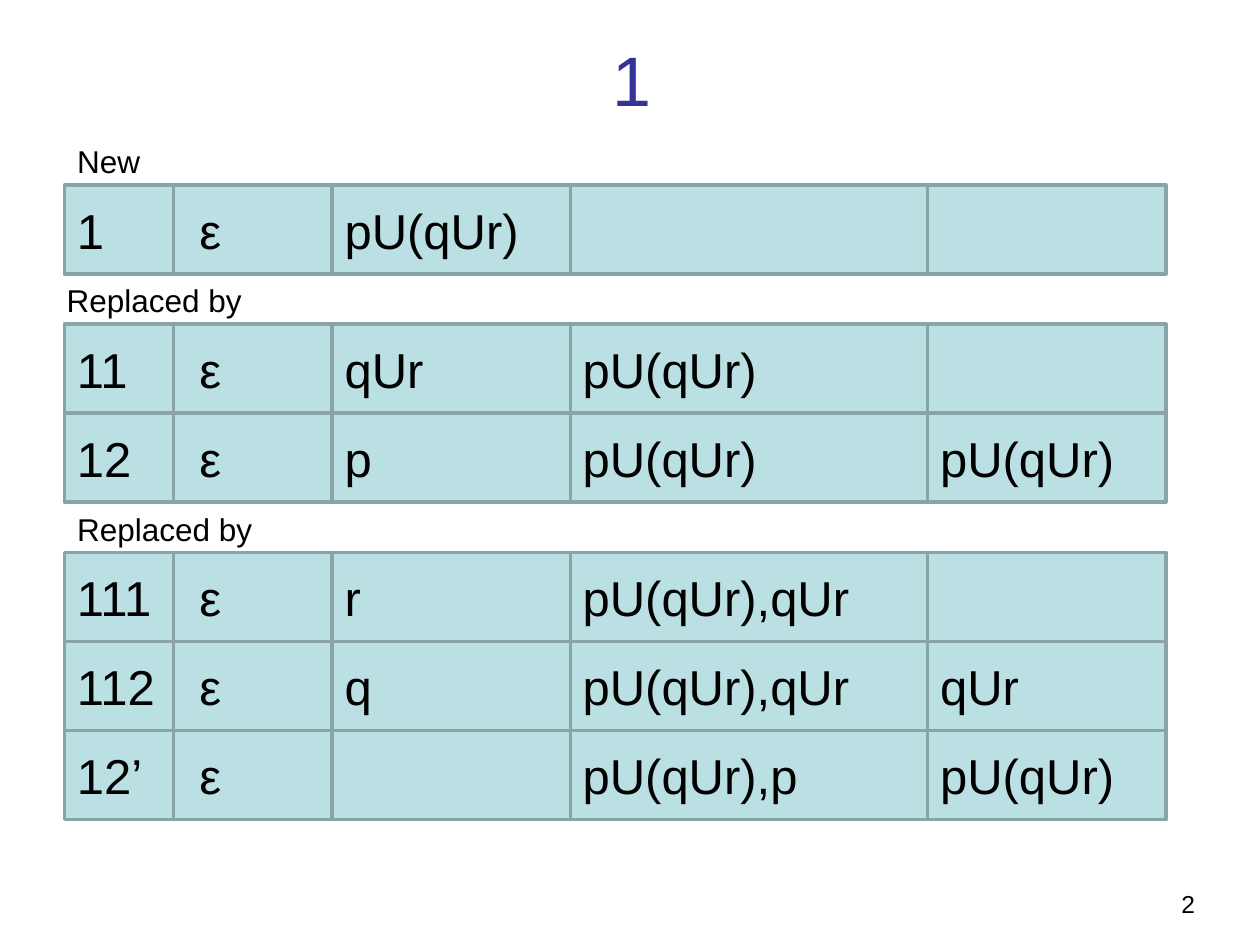
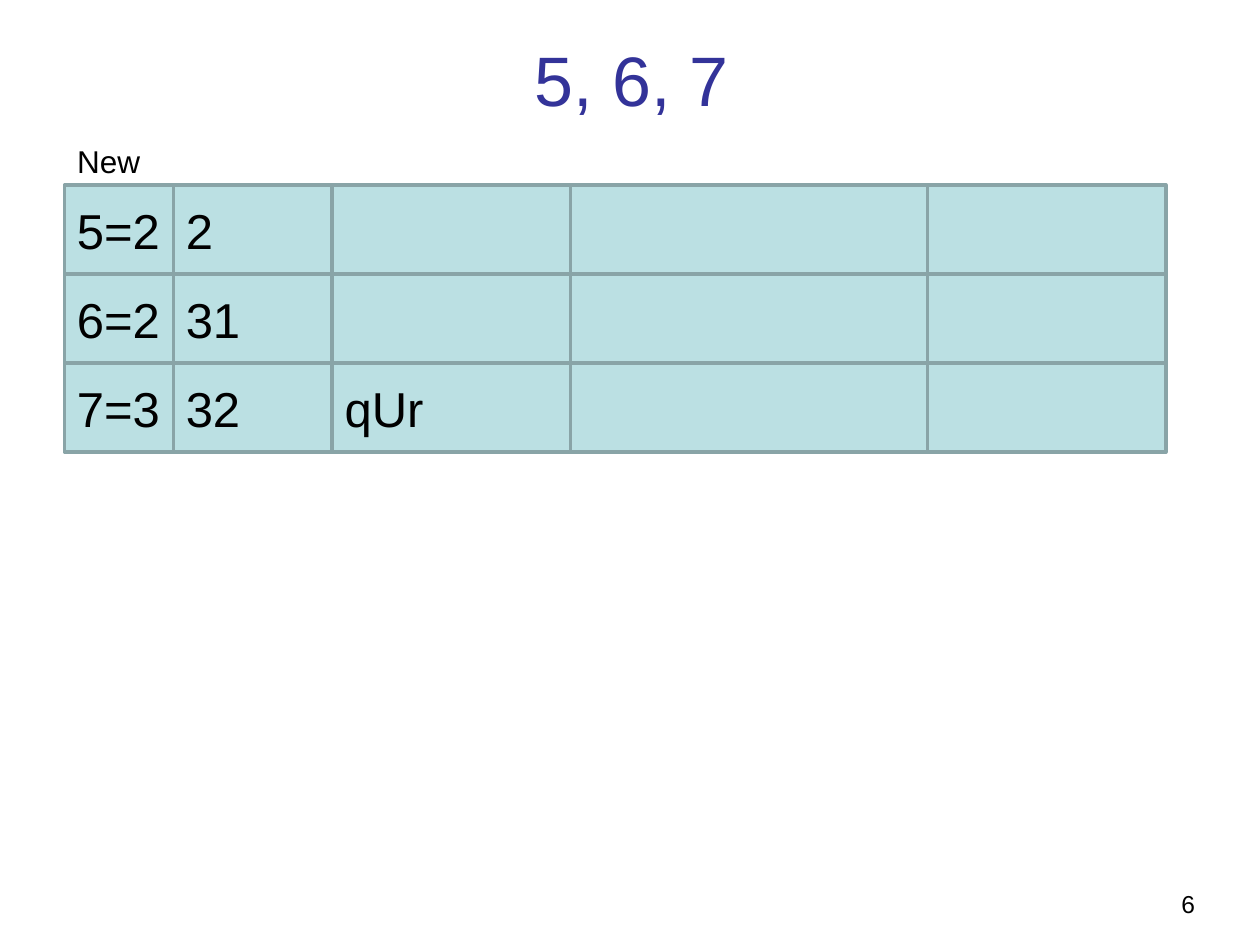
from dataclasses import dataclass

from pptx import Presentation
from pptx.dml.color import RGBColor
from pptx.enum.shapes import MSO_SHAPE as Shape
from pptx.enum.text import MSO_ANCHOR as Anchor, PP_ALIGN as Align
from pptx.util import Pt

SLIDES = [
    {
        "title": "1",
        "number": "2",
        "steps": [
            ("New", 37, [("1", " ε", "pU(qUr)", "", "")]),
            ("Replaced by", 31, [
                ("11", " ε", "qUr", "pU(qUr)", ""),
                ("12", " ε", "p", "pU(qUr)", "pU(qUr)"),
            ]),
            ("Replaced by", 37, [
                ("111", " ε", "r", "pU(qUr),qUr", ""),
                ("112", " ε", "q", "pU(qUr),qUr", "qUr"),
                ("12’", " ε", "", "pU(qUr),p", "pU(qUr)"),
            ]),
        ],
    },
    {
        "title": "5, 6, 7",
        "number": "6",
        "steps": [
            ("New", 37, [
                ("5=2", "2", "", "", ""),
                ("6=2", "31", "", "", ""),
                ("7=3", "32", "qUr", "", ""),
            ]),
        ],
    },
]


@dataclass(frozen=True)
class Theme:
    font: str = "Arial"
    heading: RGBColor = RGBColor(0x33, 0x33, 0x99)
    ink: RGBColor = RGBColor(0x00, 0x00, 0x00)
    node_fill: RGBColor = RGBColor(0xBB, 0xE0, 0xE3)
    node_border: RGBColor = RGBColor(0x89, 0xA4, 0xA7)
    border_width: float = 2
    title_size: float = 40
    node_size: float = 28
    caption_size: float = 18
    number_size: float = 14


THEME = Theme()
COLUMN_WIDTHS = (62.2, 90.7, 136.1, 204.2, 136.1)
NODES_LEFT = 36.9
FIRST_CAPTION_TOP = 77.1
CAPTION_HEIGHT = 28.6
CAPTION_INSET = 4.2
ROW_HEIGHT = 50.9


def write(frame, words, size, color=THEME.ink, align=Align.LEFT):
    frame.word_wrap = True
    paragraph = frame.paragraphs[0]
    paragraph.alignment = align
    run = paragraph.add_run()
    run.text = words
    run.font.name = THEME.font
    run.font.size = Pt(size)
    run.font.color.rgb = color


def add_label(slide, words, box, size, anchor=Anchor.TOP, **style):
    frame = slide.shapes.add_textbox(*map(Pt, box)).text_frame
    frame.vertical_anchor = anchor
    write(frame, words, size, **style)
    return frame


def add_cell(slide, formula, left, top, width):
    cell = slide.shapes.add_shape(
        Shape.RECTANGLE, Pt(left), Pt(top), Pt(width), Pt(ROW_HEIGHT))
    cell.shadow.inherit = False
    cell.fill.solid()
    cell.fill.fore_color.rgb = THEME.node_fill
    cell.line.color.rgb = THEME.node_border
    cell.line.width = Pt(THEME.border_width)
    if formula:
        cell.text_frame.vertical_anchor = Anchor.MIDDLE
        write(cell.text_frame, formula, THEME.node_size)


def add_nodes(slide, nodes, top):
    for node in nodes:
        left = NODES_LEFT
        for formula, width in zip(node, COLUMN_WIDTHS):
            add_cell(slide, formula, left, top, width)
            left += width
        top += ROW_HEIGHT
    return top


def add_slide(deck, content):
    slide = deck.slides.add_slide(deck.slide_layouts[6])
    add_label(slide, content["number"], (462, 491, 228, 37.4),
              THEME.number_size, Anchor.BOTTOM, align=Align.RIGHT)
    add_label(slide, content["title"], (37, 0, 648, 90), THEME.title_size,
              Anchor.MIDDLE, color=THEME.heading, align=Align.CENTER)
    top = FIRST_CAPTION_TOP
    for caption, left, nodes in content["steps"]:
        label = add_label(slide, caption, (left, top, 142, CAPTION_HEIGHT),
                          THEME.caption_size)
        label.margin_top = Pt(CAPTION_INSET)
        top = add_nodes(slide, nodes, top + CAPTION_HEIGHT)


def main():
    deck = Presentation()
    deck.slide_width, deck.slide_height = Pt(720), Pt(540)
    for content in SLIDES:
        add_slide(deck, content)
    deck.save("out.pptx")


if __name__ == "__main__":
    main()
